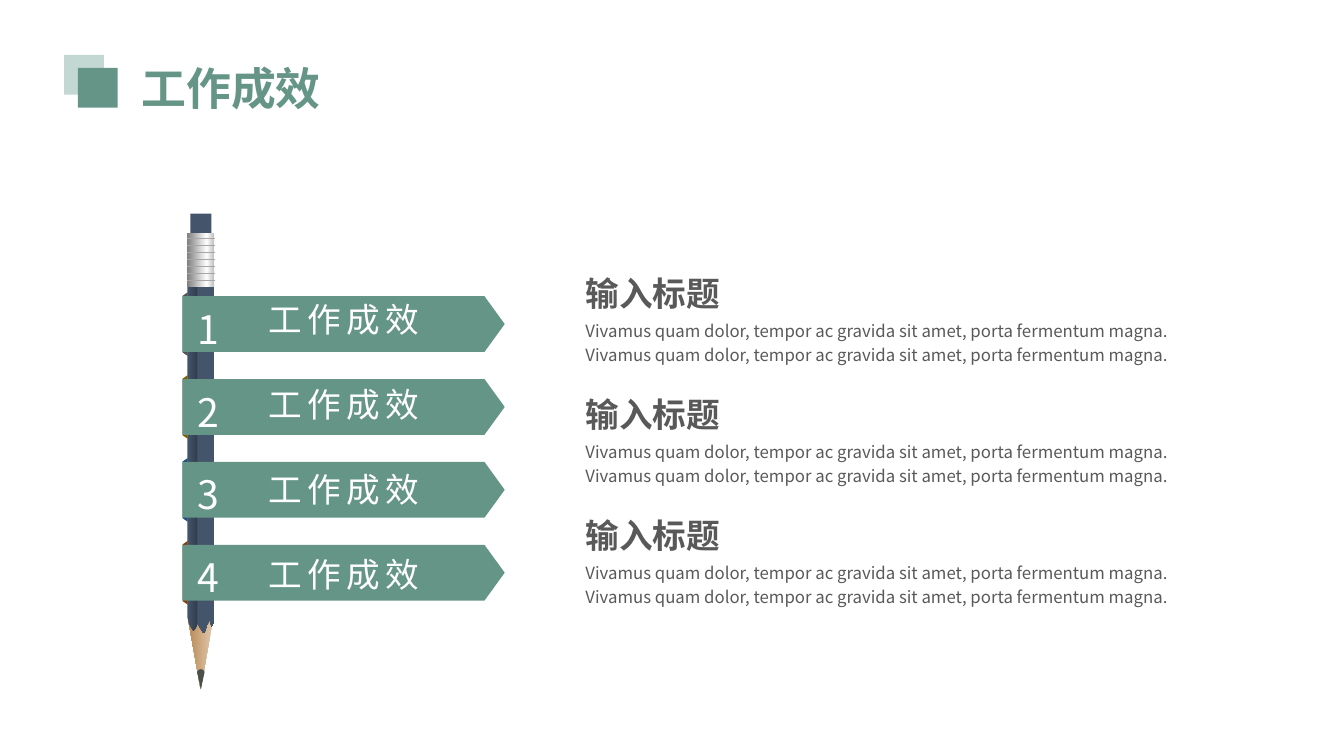
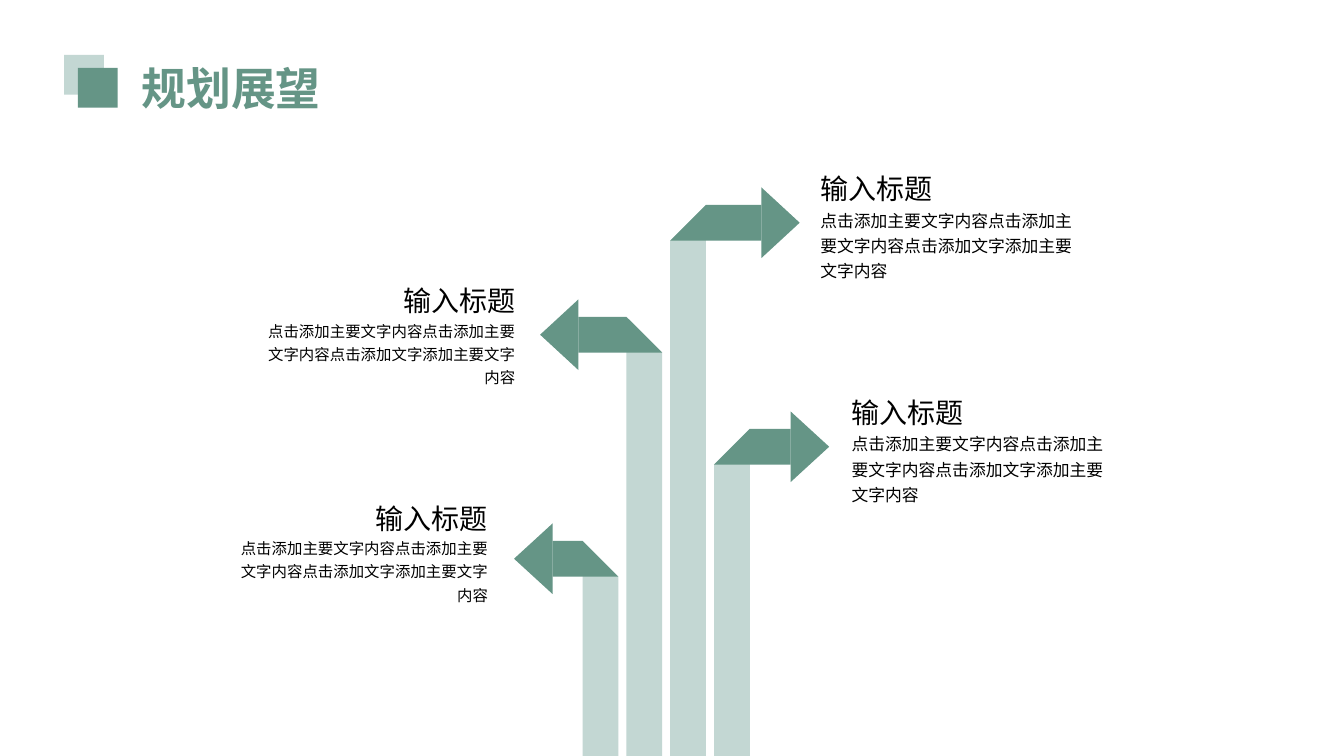
from dataclasses import dataclass
from typing import Optional

from lxml.etree import SubElement
from pptx import Presentation
from pptx.dml.color import RGBColor as Rgb
from pptx.enum.shapes import MSO_CONNECTOR as Conn, MSO_SHAPE as Geo
from pptx.enum.text import MSO_ANCHOR as Anchor, MSO_AUTO_SIZE as Fit, PP_ALIGN as Align
from pptx.oxml import parse_xml
from pptx.oxml.ns import nsdecls, qn
from pptx.util import Pt

FONT = "Noto Sans CJK SC"
HEX = {
    "green": "659586", "pale": "C3D7D3", "white": "FFFFFF", "black": "000000",
    "text": "595959", "navy": "44546A", "dusk": "333F50", "lead": "4C504C",
    "groove": "A6A6A6", "silver": "BFBFBF", "steel": "808080",
    "sand": "E1C9AF", "wood": "B88954",
    "gray": "525252", "olive": "806000", "blue": "1F4E79", "rust": "843C0B",
}
HIGH = 540
HEAD = "输入标题"
LATIN = "Vivamus quam dolor, tempor ac gravida sit amet, porta fermentum magna."
HAN = "点击添加主要文字内容点击添加主要文字内容点击添加文字添加主要文字内容"


@dataclass
class Style:
    size: float
    color: str
    bold: bool = False
    align: Align = Align.LEFT
    lead: Optional[float] = None
    track: float = 0


@dataclass
class Box:
    x: float
    y: float
    w: float
    h: float


@dataclass
class Sign:
    lane: int
    base: float
    tip: float
    text: Box
    size: float


TITLE = Style(32, "green", bold=True)
DIGIT = Style(28, "white")
LABEL = Style(24, "white", align=Align.CENTER, track=4)
TOPIC = Style(24, "text", bold=True, lead=1.2)
BODY = Style(12, "text", lead=1.2)


# Text
def format_para(para, text: str, style: Style) -> None:
    para.text = text
    para.alignment = style.align
    if style.lead:
        para.line_spacing = style.lead
    font = para.font
    font.size, font.bold, font.name = Pt(style.size), style.bold, FONT
    font.color.rgb = Rgb.from_string(HEX[style.color])
    props = para._p.pPr.find(qn("a:defRPr"))
    SubElement(props, qn("a:ea")).set("typeface", FONT)
    if style.track:
        props.set("spc", str(int(style.track * 100)))


def place(shape, box: Box) -> None:
    shape.left, shape.top = Pt(box.x), Pt(box.y)
    shape.width, shape.height = Pt(box.w), Pt(box.h)


def add_text(slide, box: Box, *parts: tuple, inset: bool = True) -> None:
    shape = slide.shapes.add_textbox(0, 0, 0, 0)
    place(shape, box)
    frame = shape.text_frame
    frame.word_wrap = True
    if not inset:
        frame.margin_left = frame.margin_right = 0
        frame.margin_top = frame.margin_bottom = 0
    for i, (text, style) in enumerate(parts):
        para = frame.add_paragraph() if i else frame.paragraphs[0]
        format_para(para, text, style)


# Shapes
def paint(shape, color: str):
    shape.shadow.inherit = False
    shape.fill.solid()
    shape.fill.fore_color.rgb = Rgb.from_string(HEX[color])
    shape.line.fill.background()
    return shape


def add_geo(slide, kind: Geo, box: Box, color: str, adj: Optional[float] = None,
            turn: float = 0):
    shape = slide.shapes.add_shape(kind, 0, 0, 0, 0)
    place(shape, box)
    shape.rotation = turn
    if adj is not None:
        shape.adjustments[0] = adj
    return paint(shape, color)


def add_poly(slide, points: list, color: str):
    dots = [(Pt(x), Pt(y)) for x, y in points]
    pen = slide.shapes.build_freeform(*dots[0])
    pen.add_line_segments(dots[1:], close=True)
    return paint(pen.convert_to_shape(), color)


def shade(shape, stops: list, angle: int) -> None:
    marks = "".join(
        f'<a:gs pos="{pos * 1000}"><a:srgbClr val="{HEX[name]}"/></a:gs>'
        for pos, name in stops)
    grad = parse_xml(
        f'<a:gradFill {nsdecls("a")} rotWithShape="1"><a:gsLst>{marks}</a:gsLst>'
        f'<a:lin ang="{angle * 60000}" scaled="0"/></a:gradFill>')
    props = shape._element.spPr
    props.replace(props.find(qn("a:solidFill")), grad)


def add_line(slide, x1: float, x2: float, y: float) -> None:
    line = slide.shapes.add_connector(Conn.STRAIGHT, Pt(x1), Pt(y), Pt(x2), Pt(y))
    line.line.color.rgb = Rgb.from_string(HEX["groove"])
    line.line.width = Pt(0.5)
    SubElement(line._element.spPr, qn("a:effectLst"))


# Title and its two squares
def start_slide(deck, text: str):
    slide = deck.slides.add_slide(deck.slide_layouts[5])
    add_geo(slide, Geo.RECTANGLE, Box(45.8, 39.3, 28.4, 28.4), "pale")
    add_geo(slide, Geo.RECTANGLE, Box(55.7, 48.5, 28.4, 28.4), "green")
    title = slide.shapes.title
    place(title, Box(93.9, 39.4, 159, 46))
    frame = title.text_frame
    frame.auto_size, frame.vertical_anchor = Fit.NONE, Anchor.TOP
    format_para(frame.paragraphs[0], text, TITLE)
    return slide


# Slide 1: pencil with four flags
def draw_pencil(slide) -> None:
    left, right = 133.9, 153.4
    tip = add_geo(slide, Geo.PENTAGON, Box(116.7, 456.5, 53.2, 18.7), "wood", 2.816, 90)
    shade(tip, [(0, "sand"), (100, "wood")], 90)
    shaft = add_poly(slide, [
        (left, 204.5), (right, 204.5), (right, 439.9), (152.4, 445), (151.2, 447.8),
        (150.4, 444.6), (149.8, 442.8), (147.9, 446.5), (146.4, 451), (145.4, 452.2),
        (143.3, 449), (141.1, 445), (139.9, 448.3), (138.2, 450.7), (135.5, 446.5),
        (left, 441.4)], "navy")
    shade(shaft, [(0, "navy"), (34, "dusk"), (38, "navy"), (100, "navy")], 0)
    band = add_geo(slide, Geo.RECTANGLE, Box(left, 166.3, 19, 38.6), "silver")
    shade(band, [(0, "silver"), (27, "white"), (100, "steel")], 180)
    add_geo(slide, Geo.RECTANGLE, Box(136.1, 152.6, 14.9, 13.7), "navy")
    add_poly(slide, [(140.8, 479.9), (142, 478.4), (143.5, 478), (145, 478.4),
                     (146.2, 479.9), (143.5, 492.5)], "lead")
    for i in range(7):
        add_line(slide, left, right, 170.6 + 4.93 * i)


def draw_flags(slide) -> None:
    left, high = 130.3, 39.8
    for i, fold in enumerate(("gray", "olive", "blue", "rust")):
        top = 211.6 + 59.2 * i
        middle = top + high / 2
        add_geo(slide, Geo.TRAPEZOID, Box(109.5, middle - 1.8, 45.4, 3.6),
                fold, 0.698, 270)
        add_geo(slide, Geo.PENTAGON, Box(left, top, 230.2, high), "green", 0.363)
        add_text(slide, Box(133.9, top + 2.7, 36, 41), (str(i + 1), DIGIT))
        add_text(slide, Box(172.8, 213.8 + 60.5 * i, 145.4, 29),
                 ("工作成效", LABEL), inset=False)


def build_results(deck) -> None:
    slide = start_slide(deck, "工作成效")
    draw_pencil(slide)
    draw_flags(slide)
    for i in range(3):
        top = 185.8 + 86.4 * i
        add_text(slide, Box(411.1, top, 468.7, 41), (HEAD, TOPIC))
        add_text(slide, Box(411.1, top + 36.7, 468.7, 41), (f"{LATIN} {LATIN}", BODY))


# Slide 2: four signposts, from the top down
SIGNS = [
    Sign(2, 543.8, 571.2, Box(578.9, 125.3, 196.6, 78.5), 12),
    Sign(1, 413.2, 385.8, Box(178.6, 205.2, 196.6, 74.2), 11),
    Sign(3, 564.7, 592.3, Box(601.2, 285.1, 196.6, 78.5), 12),
    Sign(0, 394.8, 367.2, Box(159.1, 360.7, 196.6, 74.2), 11),
]


def draw_sign(slide, sign: Sign, top: float) -> None:
    wide = 25.6
    near = 416.1 + 31.3 * sign.lane
    far = near + wide
    align = Align.LEFT
    if sign.tip < near:
        near, far, align = far, near, Align.RIGHT
    bend, middle, half = top + wide, top + wide / 2, 25.3
    add_poly(slide, [(far, top), (far, HIGH), (near, HIGH), (near, bend)], "pale")
    add_poly(slide, [(sign.base, top), (far, top), (near, bend), (sign.base, bend)],
             "green")
    add_poly(slide, [(sign.tip, middle), (sign.base, middle - half),
                     (sign.base, middle + half)], "green")
    add_text(slide, sign.text,
             (HEAD, Style(20, "black", align=align, lead=Pt(17.8))),
             (HAN, Style(sign.size, "black", align=align, lead=1.25)))


def build_outlook(deck) -> None:
    slide = start_slide(deck, "规划展望")
    for i, sign in enumerate(SIGNS):
        draw_sign(slide, sign, 146.3 + 80 * i)


def main() -> None:
    deck = Presentation()
    deck.slide_width, deck.slide_height = Pt(960), Pt(HIGH)
    build_results(deck)
    build_outlook(deck)
    deck.save("out.pptx")


if __name__ == "__main__":
    main()
